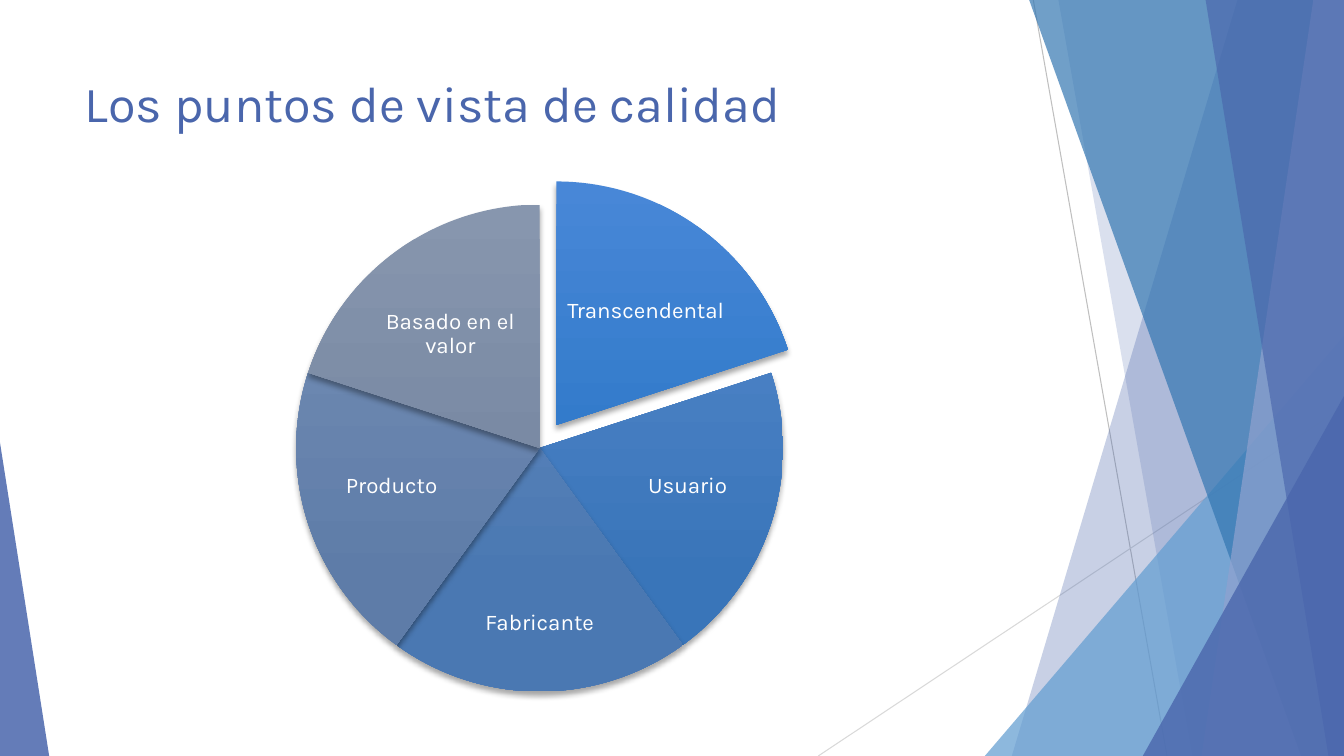
"""Builds the slide on the five points of view of quality."""
from dataclasses import dataclass
from math import cos, radians, sin

from lxml.etree import SubElement
from pptx import Presentation
from pptx.dml.color import RGBColor
from pptx.enum.shapes import MSO_CONNECTOR, MSO_SHAPE
from pptx.enum.text import MSO_ANCHOR, MSO_AUTO_SIZE, PP_ALIGN
from pptx.oxml.ns import qn
from pptx.util import Cm, Pt


@dataclass(frozen=True)
class Theme:
    font: str = "Karla"
    title_size: int = 36
    label_size: int = 16
    navy: str = "4A66AC"
    sky: str = "629DD1"
    ocean: str = "3477B2"
    lavender: str = "90A2CF"
    label: str = "FFFFFF"
    shadow: str = "000000"
    rays: tuple = ("BFBFBF", "D9D9D9")
    slices: tuple = (("4887D7", "2674C3"), ("5588CB", "3975B9"), ("658BC0", "4A78B2"),
                     ("7690B6", "5E7CA8"), ("8796AE", "71829D"))


THEME = Theme()
WIDTH, HEIGHT = 33.87, 19.05
TITLE = "Los puntos de vista de calidad"
TITLE_BOX = (1.88, 1.7, 23.88, 3.66)

RAYS = [(26.04, 0, 29.41, HEIGHT), (WIDTH, 10.24, 20.62, HEIGHT)]
FACETS = [
    ("band", (31.19, 25.5), THEME.navy, 30),
    ("band", (26.67, 30.05), THEME.navy, 20),
    ("corner", (24.82, 8.46, 9.05, 1), THEME.sky, 72),
    ("band", (25.93, 32.79), THEME.ocean, 70),
    ("band", (33.1, 30.28), THEME.lavender, 70),
    ("band", (30.38, 33.48), THEME.navy, 65),
    ("corner", (28.8, 9.98, 5.07, 1), THEME.navy, 80),
    ("corner", (0, 11.15, 1.24, 0), THEME.navy, 85),
]

UPPER, MIDDLE, LOWER = (4.17, 2.84), (3.66, 3.07), (4.39, 2.64)
VIEWPOINTS = [
    ("Transcendental", (2.25, -2.86), UPPER, 0.72),
    ("Usuario", (3.73, 0.97), MIDDLE, 0),
    ("Fabricante", (0, 4.41), LOWER, 0),
    ("Producto", (-3.73, 0.97), MIDDLE, 0),
    ("Basado en el valor", (-2.25, -2.86), UPPER, 0),
]
CENTER_X, CENTER_Y, DIAMETER = 13.6, 11.29, 12.27
SWEEP = 360 / len(VIEWPOINTS)


def color(code):
    return RGBColor.from_string(code)


def write(paragraph, words, size, code):
    run = paragraph.add_run()
    run.text = words
    run.font.name = THEME.font
    run.font.size = Pt(size)
    run.font.color.rgb = color(code)


def centered_box(x, y, width, height):
    return Cm(x - width / 2), Cm(y - height / 2), Cm(width), Cm(height)


def add_ray(slide, ends, code):
    ray = slide.shapes.add_connector(MSO_CONNECTOR.STRAIGHT, *map(Cm, ends))
    ray.line.color.rgb = color(code)
    ray.line.width = Pt(0.75)
    SubElement(ray._element.spPr, qn("a:effectLst"))


def add_facet(slide, kind, geometry, code, opacity):
    if kind == "band":
        top_x, bottom_x = geometry
        outline = slide.shapes.build_freeform(Cm(top_x), Cm(-0.02))
        corners = [(WIDTH, -0.02), (WIDTH, HEIGHT), (bottom_x, HEIGHT)]
        outline.add_line_segments([(Cm(x), Cm(y)) for x, y in corners], close=True)
        facet = outline.convert_to_shape()
    else:
        left, top, width, apex = geometry
        facet = slide.shapes.add_shape(MSO_SHAPE.ISOSCELES_TRIANGLE, Cm(left), Cm(top),
                                       Cm(width), Cm(HEIGHT - top))
        facet.adjustments[0] = apex
    facet.shadow.inherit = False
    facet.line.fill.background()
    facet.fill.solid()
    facet.fill.fore_color.rgb = color(code)
    tint = facet._element.spPr.find(".//" + qn("a:srgbClr"))
    SubElement(tint, qn("a:alpha"), val=str(opacity * 1000))


def add_slice(slide, x, y, start, shades):
    wedge = slide.shapes.add_shape(MSO_SHAPE.PIE, *centered_box(x, y, DIAMETER, DIAMETER))
    for index, angle in enumerate((start, start + SWEEP)):
        wedge.adjustments[index] = angle % 360 * 0.6
    wedge.line.fill.background()
    wedge.fill.gradient()
    wedge.fill.gradient_angle = 270
    for stop, shade, position in zip(wedge.fill.gradient_stops, shades, (0, 0.78)):
        stop.color.rgb = color(shade)
        stop.position = position
    wedge.shadow.inherit = False
    effects = wedge._element.spPr.find(qn("a:effectLst"))
    shadow = SubElement(effects, qn("a:outerShdw"), blurRad=str(Pt(4)), dist=str(Pt(3)),
                        dir="5400000", rotWithShape="0")
    tint = SubElement(shadow, qn("a:srgbClr"), val=THEME.shadow)
    SubElement(tint, qn("a:alpha"), val="35000")


def add_label(slide, words, x, y, size):
    frame = slide.shapes.add_textbox(*centered_box(x, y, *size)).text_frame
    frame.word_wrap = True
    frame.vertical_anchor = MSO_ANCHOR.MIDDLE
    frame.margin_left = frame.margin_right = frame.margin_top = frame.margin_bottom = Cm(0.05)
    paragraph = frame.paragraphs[0]
    paragraph.alignment = PP_ALIGN.CENTER
    paragraph.line_spacing = 0.9
    paragraph.space_after = Pt(0.35 * THEME.label_size)
    write(paragraph, words, THEME.label_size, THEME.label)


def add_title(slide):
    title = slide.shapes.title
    title.left, title.top, title.width, title.height = map(Cm, TITLE_BOX)
    frame = title.text_frame
    frame.auto_size = MSO_AUTO_SIZE.NONE
    frame.vertical_anchor = MSO_ANCHOR.TOP
    frame.paragraphs[0].alignment = PP_ALIGN.LEFT
    write(frame.paragraphs[0], TITLE, THEME.title_size, THEME.navy)
    slide.shapes._spTree.append(title._element)


def main():
    deck = Presentation()
    deck.slide_width, deck.slide_height = Cm(WIDTH), Cm(HEIGHT)
    slide = deck.slides.add_slide(deck.slide_layouts[5])
    for ends, code in zip(RAYS, THEME.rays):
        add_ray(slide, ends, code)
    for facet in FACETS:
        add_facet(slide, *facet)
    add_title(slide)
    for index, (name, (dx, dy), size, pull) in enumerate(VIEWPOINTS):
        start = 270 + index * SWEEP
        bisector = radians(start + SWEEP / 2)
        x, y = CENTER_X + pull * cos(bisector), CENTER_Y + pull * sin(bisector)
        add_slice(slide, x, y, start, THEME.slices[index])
        add_label(slide, name, x + dx, y + dy, size)
    deck.save("out.pptx")


if __name__ == "__main__":
    main()
